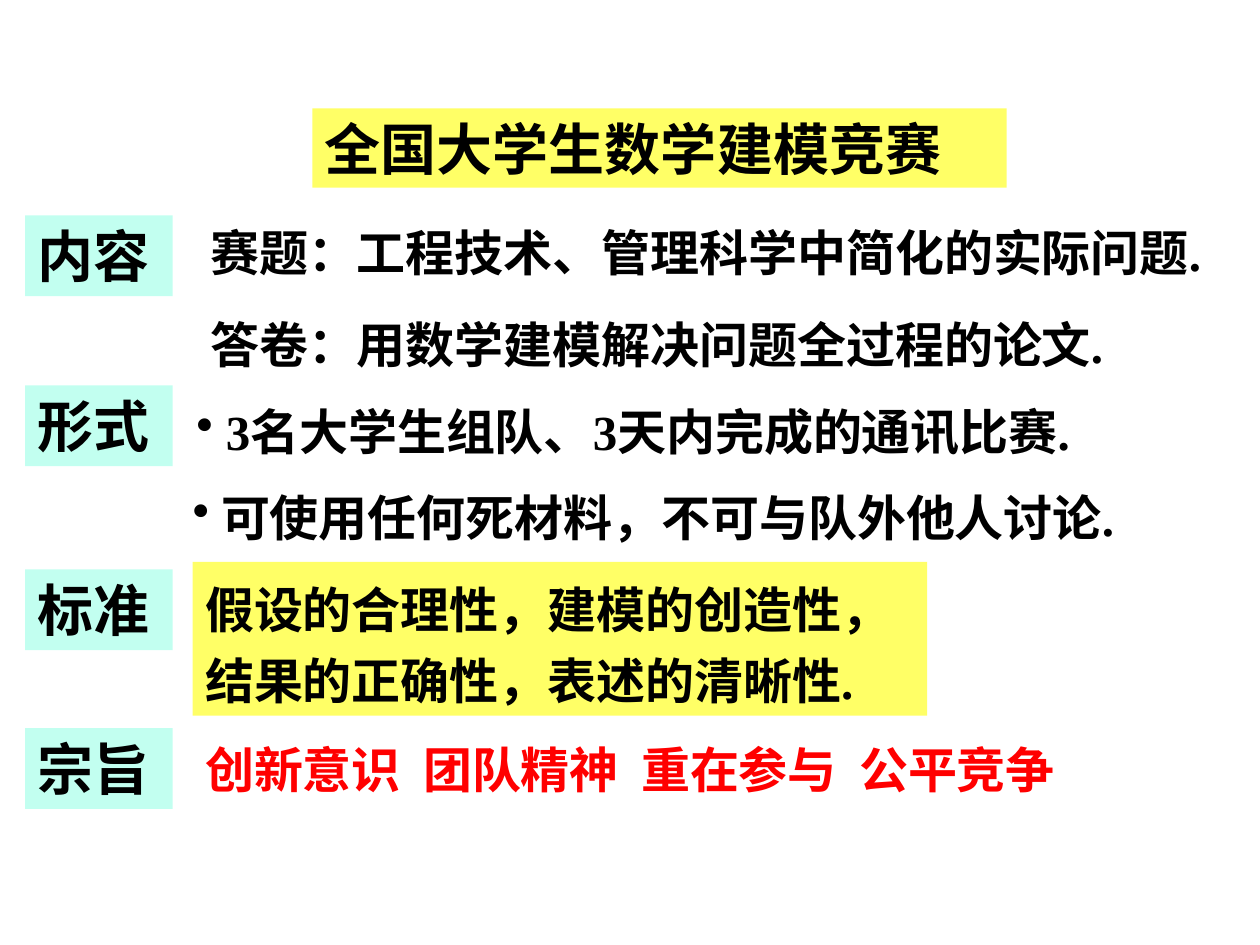
from dataclasses import dataclass

from lxml import etree
from pptx import Presentation
from pptx.dml.color import RGBColor
from pptx.enum.shapes import MSO_SHAPE
from pptx.enum.text import MSO_ANCHOR, PP_ALIGN
from pptx.oxml.ns import qn
from pptx.util import Inches, Pt

RECTANGLE = MSO_SHAPE.RECTANGLE
TOP = MSO_ANCHOR.TOP
LEFT = PP_ALIGN.LEFT

LATIN_FONT = "Times New Roman"
CHINESE_FONT = "Noto Sans CJK SC"
BLACK, RED = "000000", "FF0000"
MINT, YELLOW = "C2FFF0", "FFFF66"
MOTTO_TAB = 1.73


@dataclass
class Box:
    left: float
    top: float
    width: float
    height: float


@dataclass
class Section:
    label: str
    top: float


@dataclass
class Statement:
    text: str
    box: Box
    line_spacing: float = 1.0
    bullet: bool = False
    fill: str | None = None


SECTIONS = [
    Section("内容", 1.71),
    Section("形式", 3.06),
    Section("标准", 4.52),
    Section("宗旨", 5.78),
]

STATEMENTS = [
    Statement("赛题：工程技术、管理科学中简化的实际问题.", Box(1.57, 1.72, 8.47, 0.57)),
    Statement("答卷：用数学建模解决问题全过程的论文.", Box(1.57, 2.35, 7.8, 0.61), 1.2),
    Statement(" 3名大学生组队、3天内完成的通讯比赛.", Box(1.46, 3.14, 7.66, 0.57), bullet=True),
    Statement(" 可使用任何死材料，不可与队外他人讨论.", Box(1.43, 3.73, 7.71, 0.67), 1.2, bullet=True),
    Statement(
        "假设的合理性，建模的创造性，结果的正确性，表述的清晰性.",
        Box(1.53, 4.46, 5.83, 1.22), 1.2, fill=YELLOW,
    ),
]

MOTTOS = ["创新意识", "团队精神", "重在参与", "公平竞争"]


def color(value: str) -> RGBColor:
    return RGBColor.from_string(value)


def add_text(slide, text: str, box: Box, *, size: float = 28, font: str = LATIN_FONT,
             text_color: str = BLACK, fill: str | None = None, line_spacing: float = 1.0,
             bullet: bool = False, tabs: tuple[float, ...] = ()) -> None:
    """Add bold text in a text box, or in a rectangle when a fill is given."""
    place = [Inches(length) for length in (box.left, box.top, box.width, box.height)]
    if fill:
        shape = slide.shapes.add_shape(RECTANGLE, *place)
        shape.shadow.inherit = False
        shape.fill.solid()
        shape.fill.fore_color.rgb = color(fill)
        shape.line.fill.background()
    else:
        shape = slide.shapes.add_textbox(*place)
    frame = shape.text_frame
    frame.word_wrap = True
    frame.vertical_anchor = TOP

    paragraph = frame.paragraphs[0]
    paragraph.alignment = LEFT
    paragraph.line_spacing = line_spacing
    properties = paragraph._p.get_or_add_pPr()
    if bullet:
        etree.SubElement(properties, qn("a:buChar"), char="•")
    if tabs:
        tab_list = etree.SubElement(properties, qn("a:tabLst"))
        for position in tabs:
            etree.SubElement(tab_list, qn("a:tab"), pos=str(Inches(position)), algn="l")

    run = paragraph.add_run()
    run.text = text
    run.font.name = font
    run.font.size = Pt(size)
    run.font.bold = True
    run.font.color.rgb = color(text_color)
    etree.SubElement(run._r.get_or_add_rPr(), qn("a:ea"), typeface=CHINESE_FONT)


def main() -> None:
    presentation = Presentation()
    presentation.slide_width = Inches(10)
    presentation.slide_height = Inches(7.5)
    slide = presentation.slides.add_slide(presentation.slide_layouts[6])

    add_text(slide, "全国大学生数学建模竞赛", Box(2.48, 0.86, 5.51, 0.63),
             size=32, font=CHINESE_FONT, fill=YELLOW)
    for section in SECTIONS:
        add_text(slide, section.label, Box(0.2, section.top, 1.17, 0.64), size=32, fill=MINT)
    for statement in STATEMENTS:
        add_text(slide, statement.text, statement.box, fill=statement.fill,
                 line_spacing=statement.line_spacing, bullet=statement.bullet)
    add_text(slide, "\t".join(MOTTOS), Box(1.53, 5.82, 7.81, 0.57), text_color=RED,
             tabs=tuple(MOTTO_TAB * column for column in range(1, len(MOTTOS))))

    presentation.save("out.pptx")


if __name__ == "__main__":
    main()
